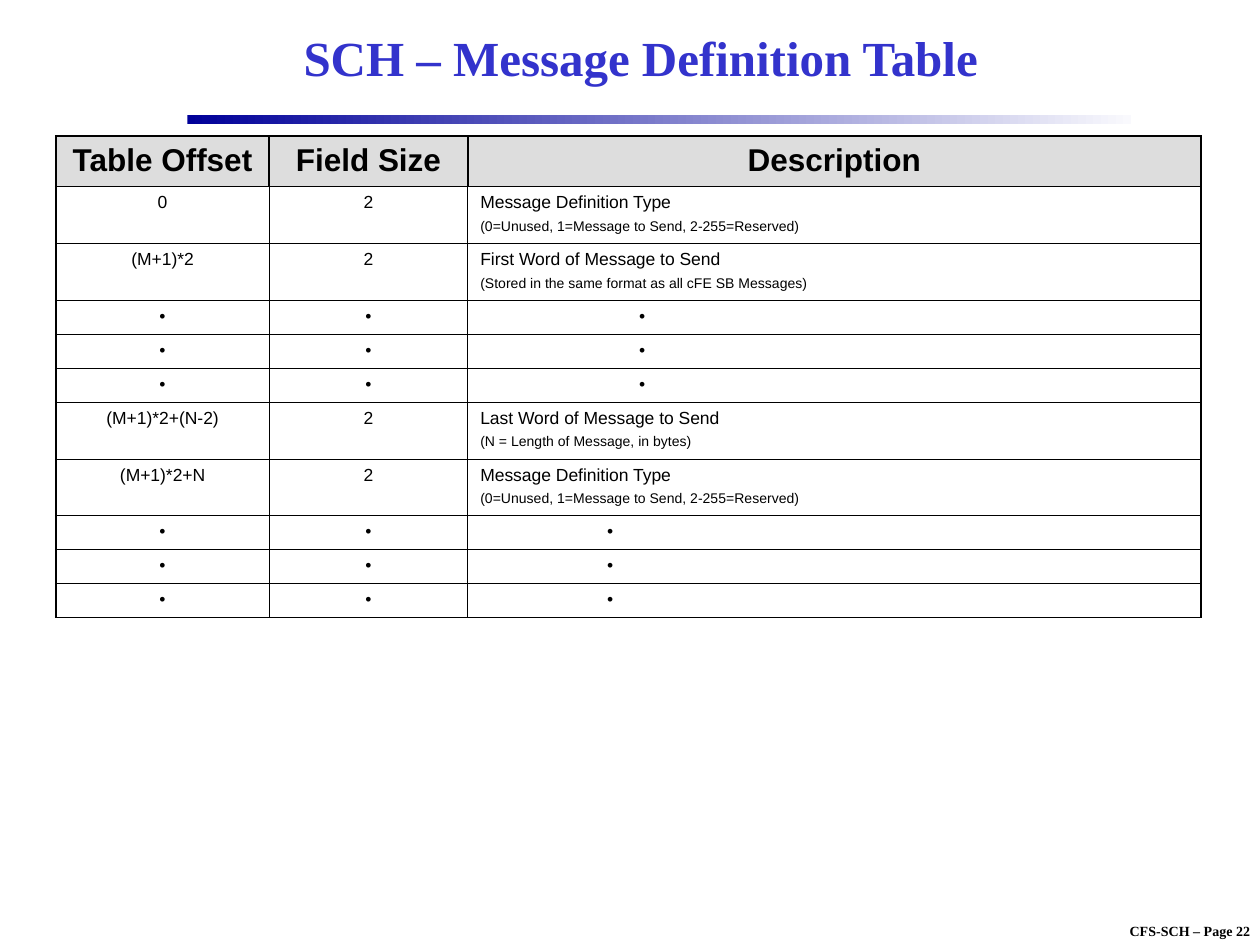
from dataclasses import dataclass
from typing import Any

import pptx
import pptx.dml.color
import pptx.enum.shapes
import pptx.enum.text
import pptx.oxml
import pptx.oxml.ns
import pptx.util

Pt = pptx.util.Pt
Align = pptx.enum.text.PP_ALIGN
Anchor = pptx.enum.text.MSO_ANCHOR


def color(value: str) -> pptx.dml.color.RGBColor:
    return pptx.dml.color.RGBColor.from_string(value)


@dataclass(frozen=True)
class Theme:
    serif: str = "Times New Roman"
    sans: str = "Arial"
    title: str = "3333CC"
    ink: str = "000000"
    header_fill: str = "DDDDDD"
    bar_start: str = "000099"
    bar_end: str = "F9F9FD"
    title_size: float = 28
    header_size: float = 18
    body_size: float = 10
    note_size: float = 8
    thick: float = 1.08
    thin: float = 0.45


@dataclass(frozen=True)
class Box:
    left: float
    top: float
    width: float
    height: float

    def lengths(self) -> list[pptx.util.Length]:
        return [Pt(value) for value in (self.left, self.top, self.width, self.height)]


@dataclass(frozen=True)
class Field:
    offset: str
    size: str
    description: str
    note: str = ""
    tab: float = 0


THEME = Theme()
TITLE_BOX = Box(108, 5.8, 516.2, 54)
BAR_BOX = Box(107, 66, 539.3, 5)
FOOTER_BOX = Box(624.2, 523.4, 111.6, 16.6)
TABLE_LEFT, TABLE_TOP = 31.9, 77.8
COLUMN_WIDTHS = (122, 113.4, 419)
HEADER_HEIGHT, FIELD_HEIGHT, DOT_HEIGHT = 28.8, 32.5, 19.4
NOTE_SPACE = 3.5

HEADERS = ("Table Offset", "Field Size", "Description")
TYPE_TEXT = ("Message Definition Type", "(0=Unused, 1=Message to Send, 2-255=Reserved)")


def dots(tab: float) -> list[Field]:
    """Three rows of dots, with the last dot set at a tab stop."""
    return [Field("•", "•", "\t•", tab=tab)] * 3


FIELDS = [
    Field("0", "2", *TYPE_TEXT),
    Field("(M+1)*2", "2", "First Word of Message to Send",
          "(Stored in the same format as all cFE SB Messages)"),
    *dots(90.7),
    Field("(M+1)*2+(N-2)", "2", "Last Word of Message to Send",
          "(N = Length of Message, in bytes)"),
    Field("(M+1)*2+N", "2", *TYPE_TEXT),
    *dots(72.5),
]


def write(paragraph: Any, text: str, size: float, font_name: str,
          bold: bool = False, ink: str = THEME.ink, align: Any = Align.CENTER) -> None:
    paragraph.alignment = align
    run = paragraph.add_run()
    run.text = text
    for name, value in {"name": font_name, "size": Pt(size), "bold": bold}.items():
        setattr(run.font, name, value)
    run.font.color.rgb = color(ink)


def add_tab_stop(paragraph: Any, position: float) -> None:
    tabs = pptx.oxml.parse_xml(
        f'<a:tabLst {pptx.oxml.ns.nsdecls("a")}>'
        f'<a:tab pos="{Pt(position)}" algn="l"/></a:tabLst>')
    paragraph._p.get_or_add_pPr().append(tabs)


def set_borders(cell: Any, widths: dict[str, float]) -> None:
    properties = cell._tc.get_or_add_tcPr()
    for side, width in widths.items():
        properties.append(pptx.oxml.parse_xml(
            f'<a:ln{side} {pptx.oxml.ns.nsdecls("a")} w="{Pt(width)}">'
            f'<a:solidFill><a:srgbClr val="{THEME.ink}"/></a:solidFill></a:ln{side}>'))


def border_widths(row: int, column: int) -> dict[str, float]:
    """Thick around the table and the header cells, thin elsewhere."""
    thick_sides = {
        "L": row == 0 or column == 0,
        "R": row == 0 or column == len(HEADERS) - 1,
        "T": row <= 1,
        "B": row == 0 or row == len(FIELDS),
    }
    return {side: THEME.thick if thick else THEME.thin
            for side, thick in thick_sides.items()}


def add_title(slide: Any) -> None:
    title = slide.shapes.title
    title.left, title.top, title.width, title.height = TITLE_BOX.lengths()
    title.text_frame.vertical_anchor = Anchor.MIDDLE
    write(title.text_frame.paragraphs[0], "SCH – Message Definition Table",
          THEME.title_size, THEME.serif, True, THEME.title)


def add_bar(slide: Any) -> None:
    bar = slide.shapes.add_shape(
        pptx.enum.shapes.MSO_SHAPE.RECTANGLE, *BAR_BOX.lengths())
    bar.shadow.inherit = False
    bar.line.fill.background()
    bar.fill.gradient()
    bar.fill.gradient_angle = 0
    for position, (stop, shade) in enumerate(
            zip(bar.fill.gradient_stops, (THEME.bar_start, THEME.bar_end))):
        stop.position = position
        stop.color.rgb = color(shade)


def add_footer(slide: Any) -> None:
    frame = slide.shapes.add_textbox(*FOOTER_BOX.lengths()).text_frame
    frame.word_wrap = False
    write(frame.paragraphs[0], "CFS-SCH – Page 22", THEME.note_size, THEME.serif, True)


def fill_field_row(cells: list[Any], field: Field) -> None:
    offset, size, description = (cell.text_frame.paragraphs[0] for cell in cells)
    write(offset, field.offset, THEME.body_size, THEME.sans)
    write(size, field.size, THEME.body_size, THEME.sans)
    if field.tab:
        add_tab_stop(description, field.tab)
    write(description, field.description, THEME.body_size, THEME.sans, align=Align.LEFT)
    if field.note:
        note = cells[-1].text_frame.add_paragraph()
        note.space_before = Pt(NOTE_SPACE)
        write(note, field.note, THEME.note_size, THEME.sans, align=Align.LEFT)


def add_definition_table(slide: Any) -> None:
    heights = [HEADER_HEIGHT] + [
        FIELD_HEIGHT if field.note else DOT_HEIGHT for field in FIELDS]
    box = Box(TABLE_LEFT, TABLE_TOP, sum(COLUMN_WIDTHS), sum(heights))
    table = slide.shapes.add_table(
        len(heights), len(COLUMN_WIDTHS), *box.lengths()).table
    table.horz_banding = False
    for column, width in zip(table.columns, COLUMN_WIDTHS):
        column.width = Pt(width)
    for row_index, (row, height) in enumerate(zip(table.rows, heights)):
        row.height = Pt(height)
        cells = list(row.cells)
        for column_index, cell in enumerate(cells):
            set_borders(cell, border_widths(row_index, column_index))
            if row_index == 0:
                cell.fill.solid()
                cell.fill.fore_color.rgb = color(THEME.header_fill)
                write(cell.text_frame.paragraphs[0], HEADERS[column_index],
                      THEME.header_size, THEME.sans, True)
            else:
                cell.fill.background()
        if row_index > 0:
            fill_field_row(cells, FIELDS[row_index - 1])


def main() -> None:
    presentation = pptx.Presentation()
    presentation.slide_width, presentation.slide_height = Pt(720), Pt(540)
    slide = presentation.slides.add_slide(
        presentation.slide_layouts.get_by_name("Title Only"))
    add_footer(slide)
    add_bar(slide)
    add_title(slide)
    add_definition_table(slide)
    presentation.save("out.pptx")


if __name__ == "__main__":
    main()
